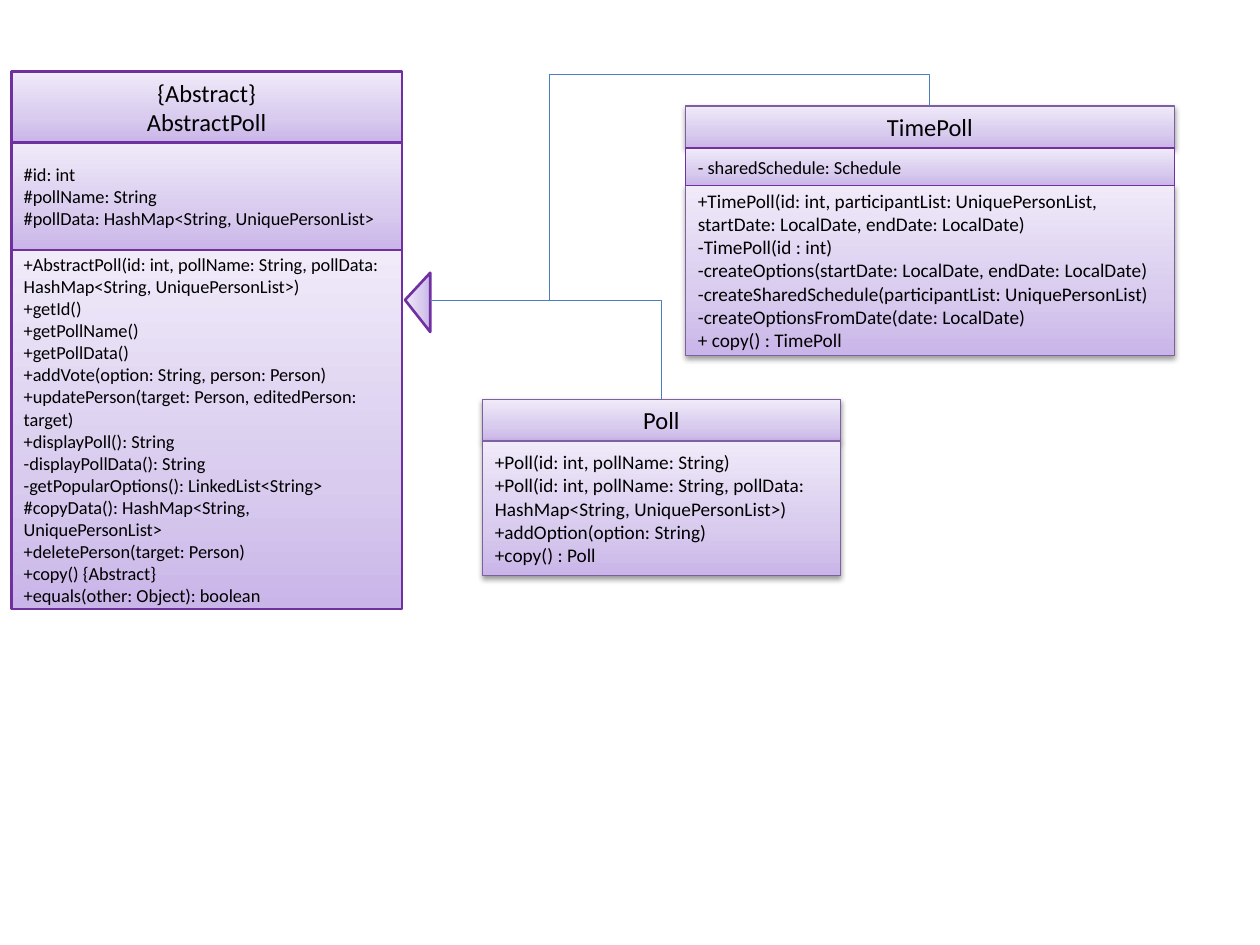
import pptx
import pptx.dml.color
import pptx.enum.shapes
import pptx.enum.text
import pptx.oxml
import pptx.oxml.ns
import pptx.util

SHAPE = pptx.enum.shapes.MSO_SHAPE
ALIGN = pptx.enum.text.PP_ALIGN
NS = pptx.oxml.ns.nsdecls("a")
qn = pptx.oxml.ns.qn


def rgb(value):
    return pptx.dml.color.RGBColor.from_string(value)


def cells(*values):
    return [pptx.util.Inches(v / 10) for v in values]


def write(tf, text, size=11, align=ALIGN.LEFT, font="Calibri", color="000000"):
    tf.word_wrap = True
    tf.vertical_anchor = pptx.enum.text.MSO_ANCHOR.MIDDLE
    for i, line in enumerate(text.split("\n")):
        p = tf.add_paragraph() if i else tf.paragraphs[0]
        p.alignment = align
        r = p.add_run()
        r.text = line
        r.font.size = pptx.util.Pt(size)
        r.font.name = font
        r.font.color.rgb = rgb(color)


class Diagram:
    STOPS = ((0, "C9B5E8"), (35, "D8CBEE"), (100, "F0EAF9"))
    PURPLE = "7030A0"
    MUTED = "7D60A0"
    LINK = "4B7EBC"

    def __init__(self, prs):
        self.s = prs.slides.add_slide(prs.slide_layouts[6])

    def shape(self, shapes, kind, at, line=PURPLE, weight=0.75, shadow=False):
        sp = shapes.add_shape(kind, *cells(*at))
        sp.fill.gradient()
        sp.fill.gradient_angle = 90
        stops = sp.element.spPr.find(qn("a:gradFill")).find(qn("a:gsLst"))
        for stop in list(stops):
            stops.remove(stop)
        for pos, color in self.STOPS:
            stops.append(pptx.oxml.parse_xml(
                f'<a:gs {NS} pos="{pos * 1000}"><a:srgbClr val="{color}"/></a:gs>'))
        sp.line.color.rgb = rgb(line)
        sp.line.width = pptx.util.Pt(weight)
        sp.shadow.inherit = False
        if shadow:
            sp.element.spPr.find(qn("a:effectLst")).append(pptx.oxml.parse_xml(
                f'<a:outerShdw {NS} blurRad="40000" dist="20000" dir="5400000" '
                'rotWithShape="0"><a:srgbClr val="000000">'
                '<a:alpha val="38000"/></a:srgbClr></a:outerShdw>'))
        return sp

    def class_box(self, left, width, parts, **style):
        group = self.s.shapes.add_group_shape()
        for top, height, text, fmt, own in parts:
            sp = self.shape(group.shapes, SHAPE.RECTANGLE,
                            (left, top, width, height), **{**style, **own})
            write(sp.text_frame, text, **fmt)

    def arrowhead(self, at):
        sp = self.shape(self.s.shapes, SHAPE.ISOSCELES_TRIANGLE, at, weight=1.5)
        sp.adjustments[0] = 0.46
        sp.rotation = 90
        sp.element.spPr.find(qn("a:xfrm")).set("flipV", "1")

    def elbow(self, start, end, preset, **adjustments):
        c = self.s.shapes.add_connector(
            pptx.enum.shapes.MSO_CONNECTOR.ELBOW, *cells(*start, *end))
        c.line.color.rgb = rgb(self.LINK)
        c.line.width = pptx.util.Pt(0.75)
        geom = c._element.spPr.find(qn("a:prstGeom"))
        geom.set("prst", preset)
        guides = geom.find(qn("a:avLst"))
        for name, share in adjustments.items():
            guides.append(pptx.oxml.parse_xml(
                f'<a:gd {NS} name="{name}" fmla="val {round(share * 100000)}"/>'))
        c._element.spPr.append(pptx.oxml.parse_xml(f"<a:effectLst {NS}/>"))


ABSTRACT_FIELDS = """#id: int
#pollName: String
#pollData: HashMap<String, UniquePersonList>"""

ABSTRACT_METHODS = """+AbstractPoll(id: int, pollName: String, pollData: HashMap<String, UniquePersonList>)
+getId()
+getPollName()
+getPollData()
+addVote(option: String, person: Person)
+updatePerson(target: Person, editedPerson: target)
+displayPoll(): String
-displayPollData(): String
-getPopularOptions(): LinkedList<String>
#copyData(): HashMap<String, UniquePersonList>
+deletePerson(target: Person)
+copy() {Abstract}
+equals(other: Object): boolean"""

POLL_METHODS = """+Poll(id: int, pollName: String)
+Poll(id: int, pollName: String, pollData: HashMap<String, UniquePersonList>)
+addOption(option: String)
+copy() : Poll"""

TIME_METHODS = """+TimePoll(id: int, participantList: UniquePersonList,
startDate: LocalDate, endDate: LocalDate)
-TimePoll(id : int)
-createOptions(startDate: LocalDate, endDate: LocalDate)
-createSharedSchedule(participantList: UniquePersonList)
-createOptionsFromDate(date: LocalDate)
+ copy() : TimePoll"""


def main():
    prs = pptx.Presentation()
    prs.slide_width, prs.slide_height = cells(100, 75)
    d = Diagram(prs)
    title = dict(size=14, align=ALIGN.CENTER)
    small = dict(size=10.5)
    raised = dict(line=d.MUTED, shadow=True)

    d.arrowhead((30.8, 23, 4.7, 2))
    d.class_box(0.9, 31, [
        (5.7, 5.6, "{Abstract}\nAbstractPoll", title, {}),
        (11.3, 8.55, ABSTRACT_FIELDS, small, {}),
        (19.85, 28.5, ABSTRACT_METHODS, small, {}),
    ], weight=1.5)
    d.class_box(38.3, 28.4, [
        (31.7, 3.3, "Poll", title, {}),
        (35, 10.7, POLL_METHODS, {}, {}),
    ], **raised)
    d.class_box(54.4, 38.8, [
        (8.4, 3.35, "TimePoll", title, {}),
        (14.7, 13.5, TIME_METHODS, {}, {}),
        (11.75, 2.95, "- sharedSchedule: Schedule", small,
         dict(line=d.PURPLE, shadow=False)),
    ], **raised)
    d.elbow((34.1, 23.85), (52.5, 31.7), "bentConnector2")
    d.elbow((34.1, 23.85), (73.8, 8.4), "bentConnector4", adj1=0.24, adj2=1.16)
    prs.save("out.pptx")


if __name__ == "__main__":
    main()
